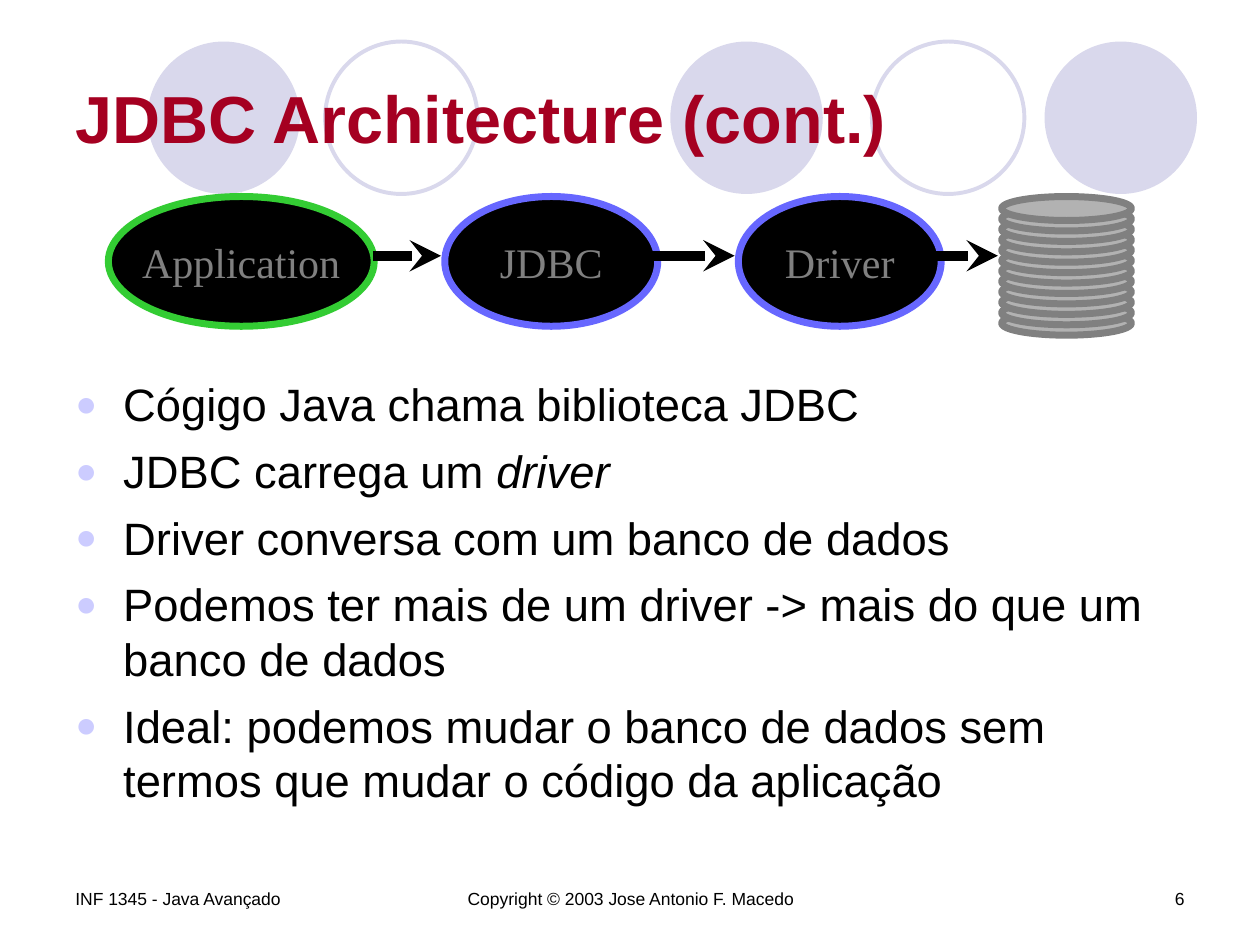
from lxml import etree
from pptx import Presentation
from pptx.dml.color import RGBColor
from pptx.enum.shapes import MSO_CONNECTOR, MSO_SHAPE
from pptx.enum.text import MSO_ANCHOR, PP_ALIGN
from pptx.oxml.ns import qn
from pptx.util import Inches, Pt

OVAL = MSO_SHAPE.OVAL
STRAIGHT = MSO_CONNECTOR.STRAIGHT
TOP, MIDDLE = MSO_ANCHOR.TOP, MSO_ANCHOR.MIDDLE
LEFT, CENTER, RIGHT = PP_ALIGN.LEFT, PP_ALIGN.CENTER, PP_ALIGN.RIGHT

LAVENDER = RGBColor(0xD9, 0xD8, 0xEC)
CRIMSON = RGBColor(0xA5, 0x00, 0x21)
BLACK = RGBColor(0, 0, 0)
GREEN = RGBColor(0x33, 0xCC, 0x33)
VIOLET = RGBColor(0x67, 0x67, 0xFF)
GRAY = RGBColor(0x80, 0x80, 0x80)
SILVER = RGBColor(0xB2, 0xB2, 0xB2)
BULLET = RGBColor(0xCC, 0xCC, 0xFF)

WIDTH, HEIGHT = 10, 7.5
MARGIN = WIDTH * 0.05
CONTENT_WIDTH = WIDTH - 2 * MARGIN
SANS, SERIF = "Arial", "Times New Roman"

TITLE = "JDBC Architecture (cont.)"
CIRCLES = [(1.17, True), (2.58, False), (5.32, True), (6.92, False), (8.29, True)]
CIRCLE_TOP, CIRCLE_SIZE = 0.33, 1.21

STAGES = [
    ("Application", 0.86, 2.11, GREEN),
    ("JDBC", 3.53, 1.69, VIOLET),
    ("Driver", 5.86, 1.61, VIOLET),
]
FLOW_TOP, STAGE_HEIGHT = 1.56, 1.03
ARROWS = [(2.96, 3.5), (5.04, 5.83), (7.13, 7.92)]
ARROW_Y = 2.03
DISC_COUNT, DISC_LEFT, DISC_WIDTH, DISC_HEIGHT = 12, 7.95, 1.03, 0.19
LAST_DISC_TOP = 2.47

POINTS = [
    [("Cógigo Java chama biblioteca JDBC", False)],
    [("JDBC carrega um ", False), ("driver", True)],
    [("Driver conversa com um banco de dados", False)],
    [("Podemos ter mais de um driver -> mais do que um banco de dados", False)],
    [("Ideal: podemos mudar o banco de dados sem termos que mudar "
      "o código da aplicação", False)],
]
FOOTERS = [
    ("INF 1345 - Java Avançado", MARGIN, 2.33, LEFT),
    ("Copyright © 2003 Jose Antonio F. Macedo", 3.42, 3.17, CENTER),
    ("6", 7.17, 2.33, RIGHT),
]


def add_oval(slide, left, top, width, height, fill=None, line=None, weight=4):
    oval = slide.shapes.add_shape(
        OVAL, Inches(left), Inches(top), Inches(width), Inches(height))
    oval.shadow.inherit = False
    if fill is None:
        oval.fill.background()
    else:
        oval.fill.solid()
        oval.fill.fore_color.rgb = fill
    if line is None:
        oval.line.fill.background()
    else:
        oval.line.color.rgb = line
        oval.line.width = Pt(weight)
    return oval


def add_run(paragraph, text, size, color, font=SANS, bold=False, italic=False):
    run = paragraph.add_run()
    run.text = text
    run.font.name = font
    run.font.size = Pt(size)
    run.font.color.rgb = color
    run.font.bold = bold
    run.font.italic = italic


def add_frame(slide, left, top, width, height, anchor=TOP):
    frame = slide.shapes.add_textbox(
        Inches(left), Inches(top), Inches(width), Inches(height)).text_frame
    frame.word_wrap = True
    frame.vertical_anchor = anchor
    return frame


def add_bullet(paragraph):
    properties = paragraph._p.get_or_add_pPr()
    properties.set("marL", str(Inches(0.38)))
    properties.set("indent", str(-Inches(0.38)))
    color = etree.SubElement(properties, qn("a:buClr"))
    etree.SubElement(color, qn("a:srgbClr"), val=str(BULLET))
    etree.SubElement(properties, qn("a:buSzPct"), val="80000")
    etree.SubElement(properties, qn("a:buFont"), typeface=SANS)
    etree.SubElement(properties, qn("a:buChar"), char="●")


def add_arrow(slide, start, end):
    arrow = slide.shapes.add_connector(
        STRAIGHT, Inches(start), Inches(ARROW_Y), Inches(end), Inches(ARROW_Y))
    arrow.line.color.rgb = BLACK
    arrow.line.width = Pt(6)
    etree.SubElement(arrow.line._get_or_add_ln(), qn("a:tailEnd"), type="stealth")
    etree.SubElement(arrow._element.spPr, qn("a:effectLst"))


def add_header(slide):
    for left, filled in CIRCLES:
        add_oval(slide, left, CIRCLE_TOP, CIRCLE_SIZE, CIRCLE_SIZE,
                 LAVENDER if filled else None, None if filled else LAVENDER, 2.25)
    frame = add_frame(slide, MARGIN, 0.3, CONTENT_WIDTH, 1.25, MIDDLE)
    add_run(frame.paragraphs[0], TITLE, 38, CRIMSON, bold=True)


def add_flow(slide):
    for label, left, width, outline in STAGES:
        stage = add_oval(slide, left, FLOW_TOP, width, STAGE_HEIGHT, BLACK, outline)
        frame = stage.text_frame
        frame.word_wrap = False
        frame.vertical_anchor = MIDDLE
        frame.paragraphs[0].alignment = CENTER
        add_run(frame.paragraphs[0], label, 24, GRAY, SERIF)
    step = (LAST_DISC_TOP - FLOW_TOP) / (DISC_COUNT - 1)
    for level in range(DISC_COUNT):
        add_oval(slide, DISC_LEFT, LAST_DISC_TOP - level * step,
                 DISC_WIDTH, DISC_HEIGHT, SILVER, GRAY)
    for start, end in ARROWS:
        add_arrow(slide, start, end)


def add_points(slide):
    frame = add_frame(slide, MARGIN, 2.94, CONTENT_WIDTH, 3.67)
    for index, point in enumerate(POINTS):
        paragraph = frame.add_paragraph() if index else frame.paragraphs[0]
        paragraph.line_spacing = 1.0
        paragraph.space_before = Pt(7)
        add_bullet(paragraph)
        for text, italic in point:
            add_run(paragraph, text, 25.9, BLACK, italic=italic)


def add_footers(slide):
    for text, left, width, alignment in FOOTERS:
        frame = add_frame(slide, left, HEIGHT - 0.5, width, 0.5)
        frame.paragraphs[0].alignment = alignment
        add_run(frame.paragraphs[0], text, 10, BLACK)


def main():
    deck = Presentation()
    deck.slide_width, deck.slide_height = Inches(WIDTH), Inches(HEIGHT)
    slide = deck.slides.add_slide(deck.slide_layouts[6])
    add_header(slide)
    add_flow(slide)
    add_points(slide)
    add_footers(slide)
    deck.save("out.pptx")


if __name__ == "__main__":
    main()
